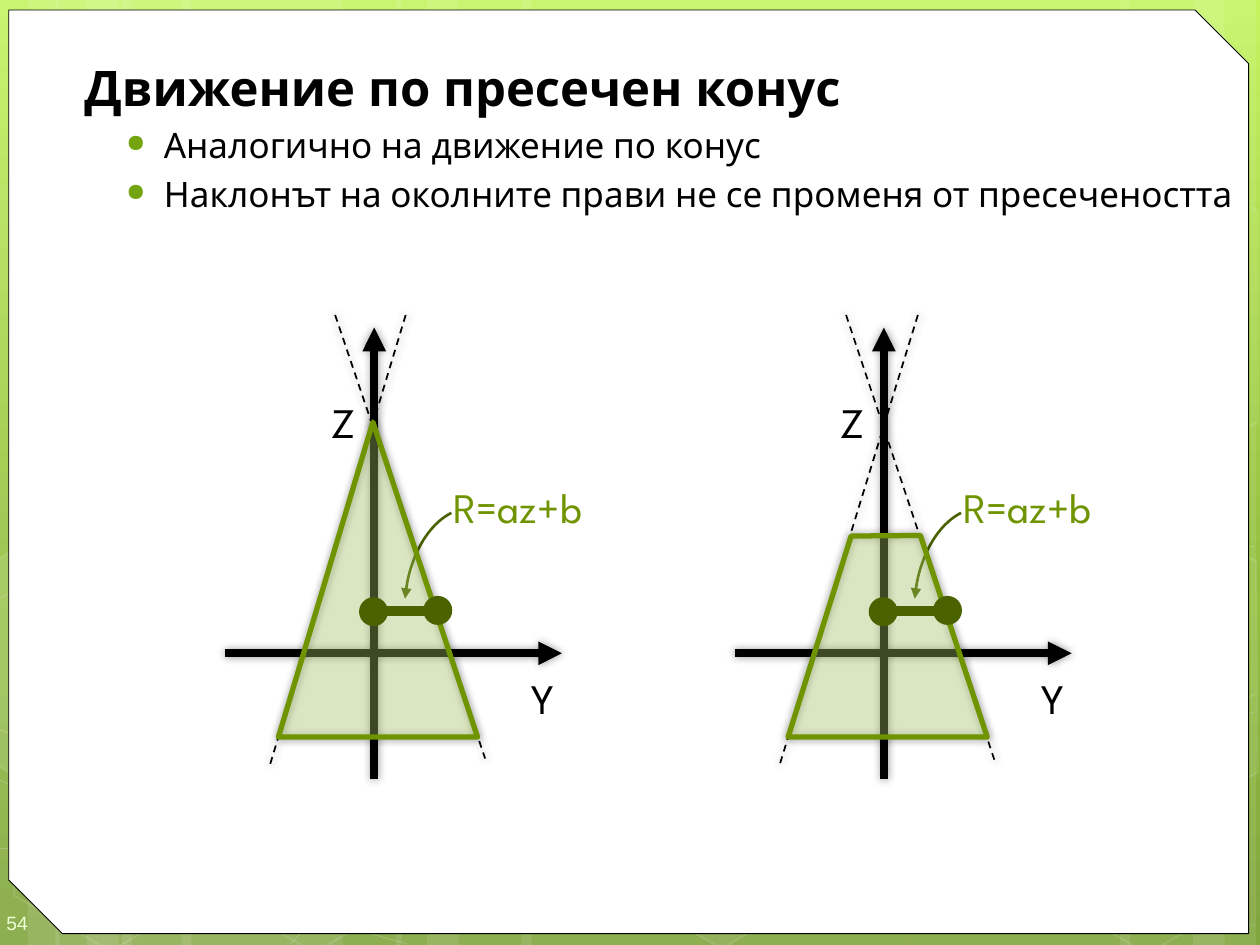
import copy

import pptx
import pptx.dml.color
import pptx.enum.dml
import pptx.enum.shapes
import pptx.enum.text
import pptx.oxml
import pptx.oxml.ns
import pptx.util

RGB = pptx.dml.color.RGBColor
WHITE, BLACK = RGB(0xFF, 0xFF, 0xFF), RGB(0, 0, 0)
LIME, GREEN, OLIVE = RGB(0xCA, 0xF2, 0x78), RGB(0x6F, 0x94, 0x00), RGB(0x4A, 0x63, 0x00)
BULLET, PALE = RGB(0x74, 0xA5, 0x10), RGB(0xEE, 0xFF, 0xD6)
SKY = ((0, RGB(0xC3, 0xF3, 0x5F)), (0.62, RGB(0x93, 0xBF, 0x3F)), (1, RGB(0x81, 0xA5, 0x3E)))
FONT = "League Spartan"
SHAPE = pptx.enum.shapes.MSO_SHAPE
ANCHOR = pptx.enum.text.MSO_ANCHOR
Pt = pptx.util.Pt
qn = pptx.oxml.ns.qn
CELL = pptx.util.Inches(0.1)
COLS, ROWS = 100, 75

STRIPES = ((9.7, 17.5), (-0.3, 5), (2.2, 8.3), (14.4, 17.5), (4.4, 5), (6.9, 8.3),
           (72.2, 17.5), (94.7, 5), (88.9, 8.3), (41.4, 30.8), (31.4, 5), (33.9, 8.3))
WAVES = (
    ((-0.4, 67.3), (5, 67.6), (10.4, 67.9), (17.9, 67.8), (25.4, 67.7), (34.6, 67.5), (44.7, 66.5),
     (54.7, 65.5), (68.9, 63.6), (78, 61.7), (87.2, 59.8), (96.6, 56.8), (99.6, 55.1)),
    ((-0.4, 47.7), (2.5, 46.1), (5.4, 44.6), (11, 43.1), (16.7, 41.6), (24.7, 39.4), (33.6, 38.7),
     (42.5, 38), (53.3, 37.9), (64.3, 38.7), (75.3, 39.5), (93.6, 42.6), (99.6, 43.4)),
    ((-0.5, 61.7), (11.5, 67.2), (23.6, 72.7), (32.3, 74.9)),
    ((-0.4, 57.8), (2.7, 58.9), (5.9, 60), (11.7, 61.6), (17.5, 63.1), (26.2, 65.6), (34.5, 67.3),
     (42.9, 69), (53.4, 70.8), (61.7, 71.8), (69.9, 72.9), (78.9, 73.3), (84.1, 73.6),
     (89.4, 74), (90.8, 73.8), (93.4, 73.8), (95.9, 73.7), (97.8, 73.5), (99.6, 73.4)),
    ((23.1, 74.9), (24.9, 72.9), (26.7, 70.9), (29.1, 69.1), (31.5, 67.3), (34.9, 65.3), (37.6, 63.9),
     (40.4, 62.5), (42.2, 61.9), (45.8, 60.9), (49.5, 59.9), (56.2, 58.5), (59.7, 57.8),
     (63.2, 57.1), (63.8, 57.1), (66.9, 56.9), (70, 56.6), (74.9, 56.3), (78.3, 56.2),
     (81.7, 56.1), (87.5, 56.2), (87.5, 56.2), (90, 56.2), (92, 56.2), (94.1, 56.2),
     (96, 56.3), (97.7, 56.4), (99.5, 56.6)),
)
HEXAGONS = ((32.5, 31.3, 10, 12), (40.4, 45.1, 0, 12), (40.5, 17.4, 7, 8), (32.3, 3.6, 4, 8),
            (48.5, 58.9, 6, 12), (0, 59.1, 0, 12), (0.3, 31.2, 7, 8), (8.2, 45.1, 0, 12),
            (16.2, 59.2, 0, 12), (16.5, 31.3, 7, 8), (8.4, 17.1, 0, 12), (74.2, 45.3, 10, 12),
            (82.3, 59.3, 0, 12), (82.3, 31.4, 7, 8))
CUT_HEXAGONS = (
    (((-0.3, 44.5), (0.8, 43.8), (8.5, 48.2), (8.4, 57), (0.9, 61.4), (-0.3, 60.7)), 10),
    (((91.5, 48.5), (99, 44.1), (99.7, 44.6), (99.8, 61.3), (99.1, 61.7), (91.4, 57.3)), 4),
    (((91.5, 20.7), (99, 16.3), (99.8, 16.8), (99.8, 33.5), (99.1, 33.9), (91.4, 29.5)), 0),
)
FIGURES = (
    (0, ((22.1, 58.5), (29.6, 33.5), (37.9, 58.5)), ((26.6, 25, 38.5, 60.2), (32.2, 25, 21.4, 60.8))),
    (40.45, ((22.1, 58.5), (27.1, 42.55), (32.6, 42.5), (37.9, 58.5)),
     ((26.7, 25, 38.5, 60.4), (32.4, 25, 21.4, 60.8))),
)


def write(p, text, size=24, color=BLACK, font=FONT, bold=False):
    """Add a formatted run to a paragraph."""
    r = p.add_run()
    r.text = text
    r.font.size, r.font.name, r.font.bold = Pt(size), font, bold
    r.font.color.rgb = color


class Canvas:
    """Draw styled elements on a slide with a grid of 100 columns and 75 rows."""

    def __init__(self, s):
        self.s = s

    def grid(self, *values):
        """Turn grid units into lengths."""
        return [pptx.util.Emu(round(v * CELL)) for v in values]

    def background(self, stops):
        """Fill the slide with a vertical gradient."""
        fill = self.s.background.fill
        fill.gradient()
        fill.gradient_angle = 270
        gs = self.s.element.find(".//" + qn("a:gsLst"))
        gs.append(copy.deepcopy(gs[-1]))
        for stop, (position, color) in zip(fill.gradient_stops, stops):
            stop.position, stop.color.rgb = position, color

    def fade(self, holder, alpha):
        """Set the opacity of a solid colour in percent."""
        if alpha < 100:
            color = holder.find(".//" + qn("a:srgbClr"))
            color.append(color.makeelement(qn("a:alpha"), {"val": str(alpha * 1000)}))

    def effect(self, sp, glow):
        """Give an element a soft shadow or none."""
        shadow = ('<a:outerShdw blurRad="63500" dist="0" dir="0"><a:srgbClr val="000000">'
                  '<a:alpha val="40000"/></a:srgbClr></a:outerShdw>') if glow else ""
        ns = pptx.oxml.ns.nsdecls("a")
        xml = f"<a:effectLst {ns}>{shadow}</a:effectLst>"
        sp.element.spPr.append(pptx.oxml.parse_xml(xml))

    def stroke(self, sp, color, width, alpha=100, arrow=None):
        """Style a line, with an arrowhead at the named end."""
        sp.line.color.rgb, sp.line.width = color, Pt(width)
        ln = sp.element.spPr.find(qn("a:ln"))
        self.fade(ln, alpha)
        if arrow:
            ln.append(ln.makeelement(qn("a:" + arrow), {"type": "triangle"}))

    def paint(self, sp, fill, alpha, line, width, line_alpha, glow, arrow=None):
        """Apply fill, line and shadow to a shape."""
        if fill is None or alpha == 0:
            sp.fill.background()
        else:
            sp.fill.solid()
            sp.fill.fore_color.rgb = fill
            self.fade(sp.element.spPr.find(qn("a:solidFill")), alpha)
        if line is None:
            sp.line.fill.background()
        else:
            self.stroke(sp, line, width, line_alpha, arrow)
        self.effect(sp, glow)

    def shape(self, kind, box, fill=None, alpha=100, line=None, width=1, line_alpha=100,
              adj=(), rot=0, arrow=None):
        """Add a preset shape."""
        sp = self.s.shapes.add_shape(kind, *self.grid(*box))
        sp.rotation = rot
        for i, value in enumerate(adj):
            sp.adjustments[i] = value
        self.paint(sp, fill, alpha, line, width, line_alpha, False, arrow)

    def outline(self, points, fill=None, alpha=100, line=WHITE, width=1, line_alpha=100,
                curved=False, glow=False):
        """Add a closed polygon, or an open chain of cubic curves."""
        start, *rest = [self.grid(*point) for point in points]
        fb = self.s.shapes.build_freeform(*start)
        fb.add_line_segments(rest, close=not curved)
        sp = fb.convert_to_shape()
        if curved:
            self.bend(sp.element.find(".//" + qn("a:pathLst"))[0])
        self.paint(sp, fill, alpha, line, width, line_alpha, glow)

    def bend(self, track):
        """Join every three line segments into one cubic curve."""
        segments = track.findall(qn("a:lnTo"))
        for i in range(0, len(segments), 3):
            curve = track.makeelement(qn("a:cubicBezTo"), {})
            track.append(curve)
            for segment in segments[i:i + 3]:
                curve.append(segment[0])
                track.remove(segment)

    def line(self, ends, color=BLACK, width=4.5, arrow=None, dash=False, glow=True):
        """Add a straight connector."""
        sp = self.s.shapes.add_connector(pptx.enum.shapes.MSO_CONNECTOR.STRAIGHT, *self.grid(*ends))
        if dash:
            sp.line.dash_style = pptx.enum.dml.MSO_LINE.DASH
        self.stroke(sp, color, width, arrow=arrow)
        self.effect(sp, glow)

    def label(self, box, text, wrap=False, insets=(1, 0.5, 1, 0.5), anchor=ANCHOR.TOP, **style):
        """Add a one-line text box."""
        tf = self.s.shapes.add_textbox(*self.grid(*box)).text_frame
        self.frame(tf, wrap, insets, anchor)
        write(tf.paragraphs[0], text, **style)

    def frame(self, tf, wrap=True, insets=(1, 0.5, 1, 0.5), anchor=ANCHOR.TOP):
        """Set the wrapping, insets and anchor of a text frame."""
        tf.word_wrap, tf.vertical_anchor = wrap, anchor
        tf.margin_left, tf.margin_top, tf.margin_right, tf.margin_bottom = self.grid(*insets)

    def title(self, box, heading, items):
        """Move the title placeholder and fill it with a heading and bullets."""
        sp = self.s.shapes.title
        sp.element.getparent().append(sp.element)
        sp.left, sp.top, sp.width, sp.height = self.grid(*box)
        tf = sp.text_frame
        self.frame(tf)
        write(tf.paragraphs[0], heading, size=28, bold=True)
        self.indent(tf.paragraphs[0], 0.7, 0)
        for item in items:
            p = tf.add_paragraph()
            p.space_before = Pt(4)
            write(p, item, size=20)
            pPr = self.indent(p, 7, -3)
            ns = pptx.oxml.ns.nsdecls("a")
            for tag in (f'<a:buClr {ns}><a:srgbClr val="{BULLET}"/></a:buClr>',
                        f'<a:buSzPct {ns} val="70000"/>', f'<a:buChar {ns} char="●"/>'):
                pPr.append(pptx.oxml.parse_xml(tag))

    def indent(self, p, left, first):
        """Align a paragraph left with the given indents."""
        p.alignment = pptx.enum.text.PP_ALIGN.LEFT
        pPr = p._p.get_or_add_pPr()
        for name, value in zip(("marL", "indent"), self.grid(left, first)):
            pPr.set(name, str(value))
        return pPr

    def figure(self, dx, body, sides):
        """Draw a cone section on its axes."""
        self.line((29.7 + dx, 61.85, 29.7 + dx, 26), arrow="tailEnd")
        self.line((17.85 + dx, 51.85, 44.6 + dx, 51.85), arrow="tailEnd")
        self.label((25.3 + dx, 31, 3.6, 5), "Z")
        self.label((41.2 + dx, 52.9, 3.8, 5), "Y")
        self.label((35 + dx, 37.7, 14.2, 5), "R=az+b", color=GREEN)
        self.shape(SHAPE.ARC, (32.1 + dx, 40.3, 10.8, 16.7), line=OLIVE, width=1.5,
                   adj=(115.18, 154.86), arrow="headEnd")
        for x1, y1, x2, y2 in sides:
            self.line((x1 + dx, y1, x2 + dx, y2), width=1, dash=True)
        self.outline([(x + dx, y) for x, y in body], LIME, 30, GREEN, 3, glow=True)
        self.line((29.6 + dx, 48.5, 34.6 + dx, 48.5), OLIVE, 6, glow=False)
        for x, y in ((28.5, 47.4), (33.6, 47.3)):
            self.shape(SHAPE.OVAL, (x + dx, y, 2.3, 2.3), OLIVE)


def main():
    """Build and save the slide."""
    prs = pptx.Presentation()
    prs.slide_width, prs.slide_height = COLS * CELL, ROWS * CELL
    c = Canvas(prs.slides.add_slide(prs.slide_layouts[5]))
    c.background(SKY)
    for x, width in STRIPES:
        c.shape(SHAPE.RECTANGLE, (x, 0, width, ROWS), WHITE, 10)
    for wave in WAVES:
        c.outline(wave, width=0.5, line_alpha=20, curved=True)
    for x, y, alpha, line_alpha in HEXAGONS:
        c.shape(SHAPE.HEXAGON, (x, y, 17.5, 15.2), WHITE, alpha, WHITE, 1, line_alpha, (0.285, 1.155), 30)
    for points, alpha in CUT_HEXAGONS:
        c.outline(points, WHITE, alpha, line_alpha=12)
    c.shape(SHAPE.SNIP_2_DIAG_RECTANGLE, (0.7, 0.8, 98.4, 73.3), WHITE, line=BLACK, width=0.5, adj=(0, 0.058))
    c.label((0, 71, 5.8, 4), "54", wrap=True, insets=(0.5, 1.5, 0, 1), anchor=ANCHOR.MIDDLE,
            size=11, color=PALE, font="Arial")
    c.title((5, 4.1, 94.2, 70.1), "Движение по пресечен конус",
            ("Аналогично на движение по конус",
             "Наклонът на околните прави не се променя от пресечеността"))
    for dx, body, sides in FIGURES:
        c.figure(dx, body, sides)
    prs.save("out.pptx")


if __name__ == "__main__":
    main()
